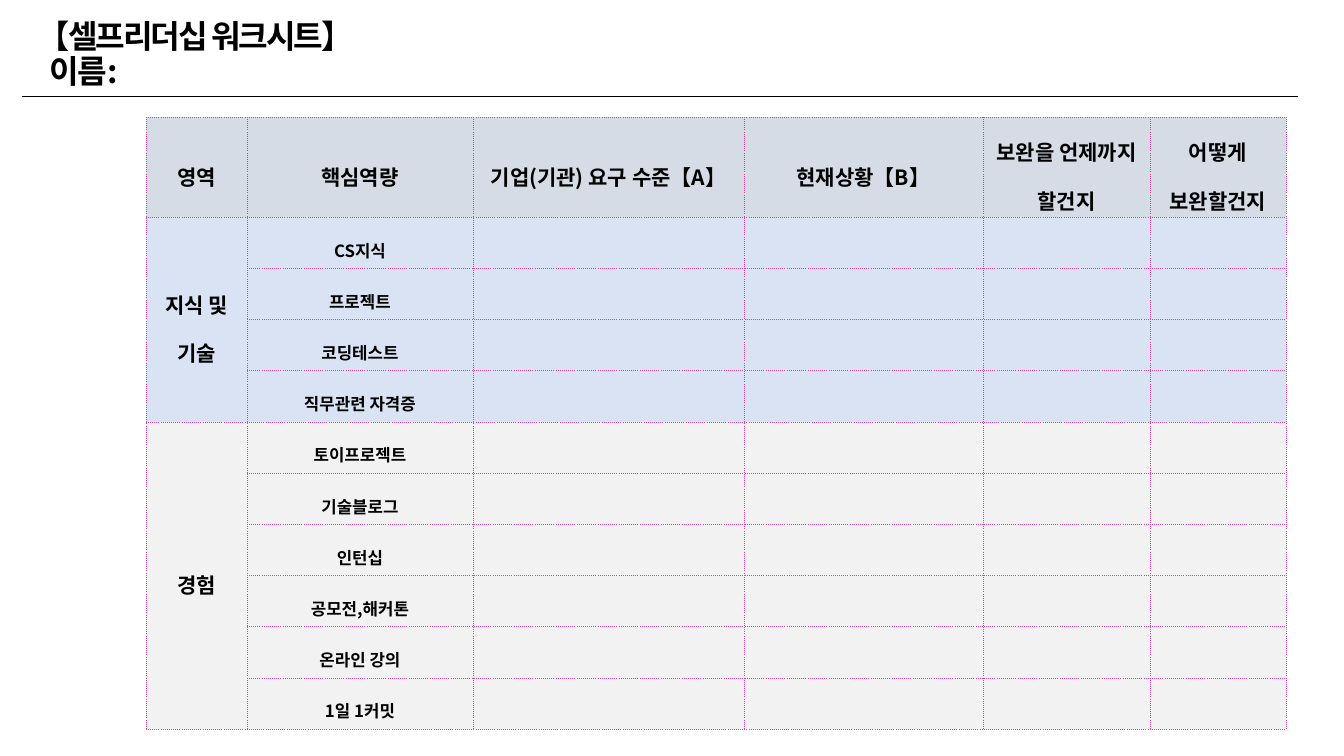
import pptx
import pptx.dml.color
import pptx.enum.shapes
import pptx.enum.text
import pptx.oxml.ns
import pptx.util
from lxml import etree

RGBColor = pptx.dml.color.RGBColor
PP_ALIGN = pptx.enum.text.PP_ALIGN
MIDDLE = pptx.enum.text.MSO_ANCHOR.MIDDLE
qn = pptx.oxml.ns.qn

BLACK = RGBColor(0x00, 0x00, 0x00)
HEADER_FILL = RGBColor(0xD6, 0xDC, 0xE5)
BLUE_FILL = RGBColor(0xDA, 0xE3, 0xF3)
GRAY_FILL = RGBColor(0xF2, 0xF2, 0xF2)
BORDER = RGBColor(0xD1, 0x48, 0x99)
FONT = "Noto Sans CJK KR"

TITLE = ["【셀프리더십 워크시트】", "이름:"]
TITLE_INDENTS = [3, 15]
HEADERS = ["영역", "핵심역량", "기업(기관) 요구 수준【A】", "현재상황【B】",
           "보완을 언제까지 할건지", "어떻게 보완할건지"]
AREAS = [
    (["지식 및", "기술"], BLUE_FILL,
     ["CS지식", "프로젝트", "코딩테스트", "직무관련 자격증"]),
    (["경험"], GRAY_FILL,
     ["토이프로젝트", "기술블로그", "인턴십", "공모전,해커톤", "온라인 강의", "1일 1커밋"]),
]

COL_WIDTHS = [101, 226, 271, 239, 167, 136]
HEADER_HEIGHT = 100
BODY_HEIGHT = 512
TABLE_LEFT, TABLE_TOP = 146, 117
TITLE_BOX = (28, 15, 1183, 81)
RULE = (22, 96, 1298, 96)
TITLE_INSETS = (7, 4)
CELL_INSETS = (4, 1)


def px(n):
    """Convert pixels to EMU."""
    return pptx.util.Emu(round(n * 914400 / 100.8))


def set_attrs(obj, values):
    """Set each attribute of obj from a dict."""
    for name, value in values.items():
        setattr(obj, name, value)


def margins(insets):
    """Return margin settings for a horizontal and vertical inset."""
    x, y = map(px, insets)
    return {"margin_left": x, "margin_right": x, "margin_top": y, "margin_bottom": y}


def write(tf, lines, size, spacing, align, tracking=None):
    """Write one bold paragraph for each line."""
    for i, line in enumerate(lines):
        p = tf.add_paragraph() if i else tf.paragraphs[0]
        set_attrs(p, {"alignment": align, "line_spacing": spacing})
        r = p.add_run()
        r.text = line
        set_attrs(r.font, {"name": FONT, "size": pptx.util.Pt(size), "bold": True})
        r.font.color.rgb = BLACK
        rPr = r.font._element
        etree.SubElement(rPr, qn("a:ea"), typeface=FONT)
        if tracking:
            rPr.set("spc", str(round(tracking * 100)))


def style_cell(cell, fill):
    """Give a cell its dotted borders, insets and fill."""
    set_attrs(cell, {"vertical_anchor": MIDDLE, **margins(CELL_INSETS)})
    tcPr = cell._tc.get_or_add_tcPr()
    for side in "LRTB":
        ln = etree.SubElement(tcPr, qn("a:ln" + side), w=str(pptx.util.Pt(0.25)))
        solid = etree.SubElement(ln, qn("a:solidFill"))
        etree.SubElement(solid, qn("a:srgbClr"), val=str(BORDER))
        etree.SubElement(ln, qn("a:prstDash"), val="sysDot")
    cell.fill.solid()
    cell.fill.fore_color.rgb = fill


def add_rule(slide):
    """Draw the line below the title."""
    sp = slide.shapes.add_connector(
        pptx.enum.shapes.MSO_CONNECTOR.STRAIGHT, *map(px, RULE))
    sp.line.color.rgb = BLACK
    sp.line.width = pptx.util.Pt(0.5)
    etree.SubElement(sp._element.spPr, qn("a:effectLst"))


def add_title(slide):
    """Add the worksheet title and name line."""
    tf = slide.shapes.add_textbox(*map(px, TITLE_BOX)).text_frame
    set_attrs(tf, {"word_wrap": True, "vertical_anchor": MIDDLE,
                   **margins(TITLE_INSETS)})
    write(tf, TITLE, 23, 0.9, PP_ALIGN.LEFT, tracking=-1.5)
    for p, indent in zip(tf.paragraphs, TITLE_INDENTS):
        p._p.get_or_add_pPr().set("marL", str(px(indent)))


def add_worksheet(slide):
    """Build the competency table."""
    fills = [HEADER_FILL] + [fill for _, fill, skills in AREAS for _ in skills]
    body_rows = len(fills) - 1
    table = slide.shapes.add_table(
        len(fills), len(HEADERS), px(TABLE_LEFT), px(TABLE_TOP),
        px(sum(COL_WIDTHS)), px(HEADER_HEIGHT + BODY_HEIGHT)).table
    set_attrs(table, {"first_row": False, "horz_banding": False})
    for col, width in zip(table.columns, COL_WIDTHS):
        col.width = px(width)
    for i, (row, fill) in enumerate(zip(table.rows, fills)):
        row.height = px(BODY_HEIGHT / body_rows if i else HEADER_HEIGHT)
        for cell in row.cells:
            style_cell(cell, fill)

    def fill_cell(row, col, lines, size):
        """Write centred text in one table cell."""
        write(table.cell(row, col).text_frame, lines, size, 1.6, PP_ALIGN.CENTER)

    for col, header in enumerate(HEADERS):
        fill_cell(0, col, [header], 15)
    top = 1
    for area, _, skills in AREAS:
        end = top + len(skills)
        table.cell(top, 0).merge(table.cell(end - 1, 0))
        fill_cell(top, 0, area, 15)
        for row, skill in enumerate(skills, top):
            fill_cell(row, 1, [skill], 12)
        top = end


prs = pptx.Presentation()
set_attrs(prs, {"slide_width": px(1344), "slide_height": px(756)})
slide = prs.slides.add_slide(prs.slide_layouts[6])
add_rule(slide)
add_title(slide)
add_worksheet(slide)
prs.save("out.pptx")
